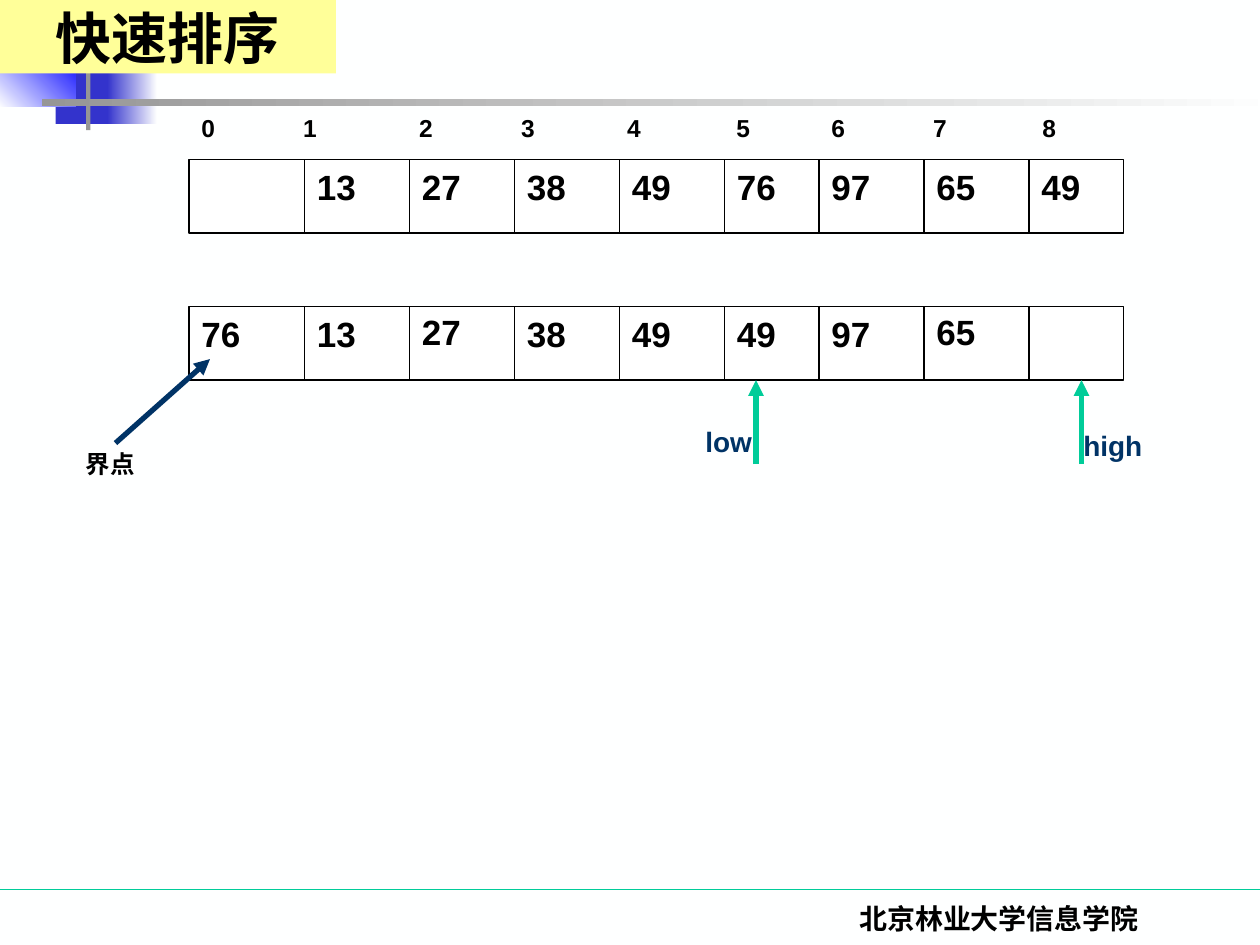
from lxml import etree
from pptx import Presentation
from pptx import util as u
from pptx.dml.color import RGBColor
from pptx.enum import shapes, text
from pptx.oxml.ns import qn

BLACK = RGBColor(0x00, 0x00, 0x00)
PAPER = RGBColor(0xFE, 0xFF, 0xFF)
WHITE = RGBColor(0xFF, 0xFF, 0xFF)
NAVY = RGBColor(0x00, 0x33, 0x66)
INDIGO = RGBColor(0x33, 0x33, 0xCC)
BLUE = RGBColor(0x00, 0x00, 0xFF)
GREY = RGBColor(0x96, 0x96, 0x96)
GREEN = RGBColor(0x00, 0xCC, 0x99)
YELLOW = RGBColor(0xFF, 0xFF, 0x99)

UNIT = u.Inches(1) // 12  # the slide is a grid of 120 columns by 90 rows
RECTANGLE = shapes.MSO_SHAPE.RECTANGLE

prs = Presentation()
prs.slide_width, prs.slide_height = 120 * UNIT, 90 * UNIT
slide = prs.slides.add_slide(prs.slide_layouts[6])
slide.background.fill.solid()
slide.background.fill.fore_color.rgb = PAPER


def write(words, left, top, width, height, *, size, font="Arial", color=BLACK,
          align=text.PP_ALIGN.LEFT, fill=None, tabs=()):
    """Add bold text at a grid place, on a filled rectangle if fill is given."""
    place = [int(n * UNIT) for n in (left, top, width, height)]
    if fill is None:
        box = slide.shapes.add_textbox(*place)
    else:
        box = slide.shapes.add_shape(RECTANGLE, *place)
        box.shadow.inherit = False
        box.fill.solid()
        box.fill.fore_color.rgb = fill
        box.line.fill.background()
    box.text_frame.word_wrap = True
    paragraph = box.text_frame.paragraphs[0]
    paragraph.alignment = align
    if tabs:
        stops = etree.SubElement(paragraph._p.get_or_add_pPr(), qn("a:tabLst"))
        for stop in tabs:
            etree.SubElement(stops, qn("a:tab"), pos=str(int(stop * UNIT)), algn="l")
    run = paragraph.add_run()
    run.text = words
    run.font.size, run.font.name, run.font.bold = u.Pt(size), font, True
    run.font.color.rgb = color


def draw_line(x1, y1, x2, y2, color, weight=0.75, arrow=False):
    ends = [int(n * UNIT) for n in (x1, y1, x2, y2)]
    line = slide.shapes.add_connector(shapes.MSO_CONNECTOR.STRAIGHT, *ends)
    line.line.color.rgb = color
    line.line.width = u.Pt(weight)
    if arrow:
        etree.SubElement(line.line._get_or_add_ln(), qn("a:tailEnd"), type="triangle")
    etree.SubElement(line._element.spPr, qn("a:effectLst"))


# Corner ornament: place, start colour, end colour, gradient angle
draw_line(0, 84.7, 120, 84.7, GREEN)
ornament = [
    (3.7, 0, 5.75, 6.25, NAVY, None, 0),
    (8.65, 0, 4.35, 6.25, NAVY, PAPER, 0),
    (5.3, 5.55, 5.5, 6.25, INDIGO, None, 0),
    (10.2, 5.55, 4.8, 6.25, INDIGO, PAPER, 0),
    (-0.1, 4.6, 7.3, 5.55, PAPER, BLUE, 45),
    (8.2, -1.4, 0.4, 13.8, GREY, None, 0),
    (4, 9.4, 118 - 4 + 4, 0.7, GREY, PAPER, 0),
]
for *place, start, end, angle in ornament:
    tile = slide.shapes.add_shape(RECTANGLE, *[int(n * UNIT) for n in place])
    tile.shadow.inherit = False
    tile.line.fill.background()
    if end is None:
        tile.fill.solid()
        tile.fill.fore_color.rgb = start
    else:
        tile.fill.gradient()
        tile.fill.gradient_angle = angle
        for stop, color in zip(tile.fill.gradient_stops, (start, end)):
            stop.color.rgb = color

write("北京林业大学信息学院", 70.3, 85.3, 49.7, 6, size=16,
      font="Times New Roman", align=text.PP_ALIGN.CENTER)

# Array before and after the pivot moves to cell 0
cell_edges = [18, 29, 39, 49, 59, 69, 78, 88, 98, 107]
row_height = 7
arrays = {
    15.2: ["", "13", "27", "38", "49", "76", "97", "65", "49"],
    29.2: ["76", "13", "27", "38", "49", "49", "97", "65", ""],
}
raised = {(29.2, "27"), (29.2, "65")}
for top, values in arrays.items():
    row = slide.shapes.add_shape(
        RECTANGLE, cell_edges[0] * UNIT, int(top * UNIT),
        (cell_edges[-1] - cell_edges[0]) * UNIT, row_height * UNIT)
    row.shadow.inherit = False
    row.fill.solid()
    row.fill.fore_color.rgb = WHITE
    row.line.color.rgb = BLACK
    row.line.width = u.Pt(0.75)
    for edge in cell_edges[1:-1]:
        draw_line(edge, top, edge, top + row_height, BLACK)
    for left, value in zip(cell_edges, values):
        if value:
            lift = 0.2 if (top, value) in raised else 0
            write(value, left, top - lift, 8, 5.25, size=20)

write("\t".join("012345678"), 18, 10.2, 89, 4.1, size=14,
      tabs=[9.7, 20.75, 30.45, 40.55, 50.95, 60, 69.7, 80.1])

# Markers under the second array
bottom = 29.2 + row_height
for label, arrow_x, label_left, label_top in [("high", 103, 102, 40.2),
                                              ("low", 72, 66, 39.8)]:
    draw_line(arrow_x, bottom + 8, arrow_x, bottom, GREEN, 3, arrow=True)
    write(label, label_left, label_top, 11, 4.45, size=16, color=NAVY)

write("界点", 7, 42.2, 10, 4.1, size=14)
draw_line(11, 42.2, 20, 34.2, NAVY, 3, arrow=True)

write("快速排序", 0, 0, 32, 7, size=32, font="Times New Roman",
      align=text.PP_ALIGN.CENTER, fill=YELLOW)

prs.save("out.pptx")
